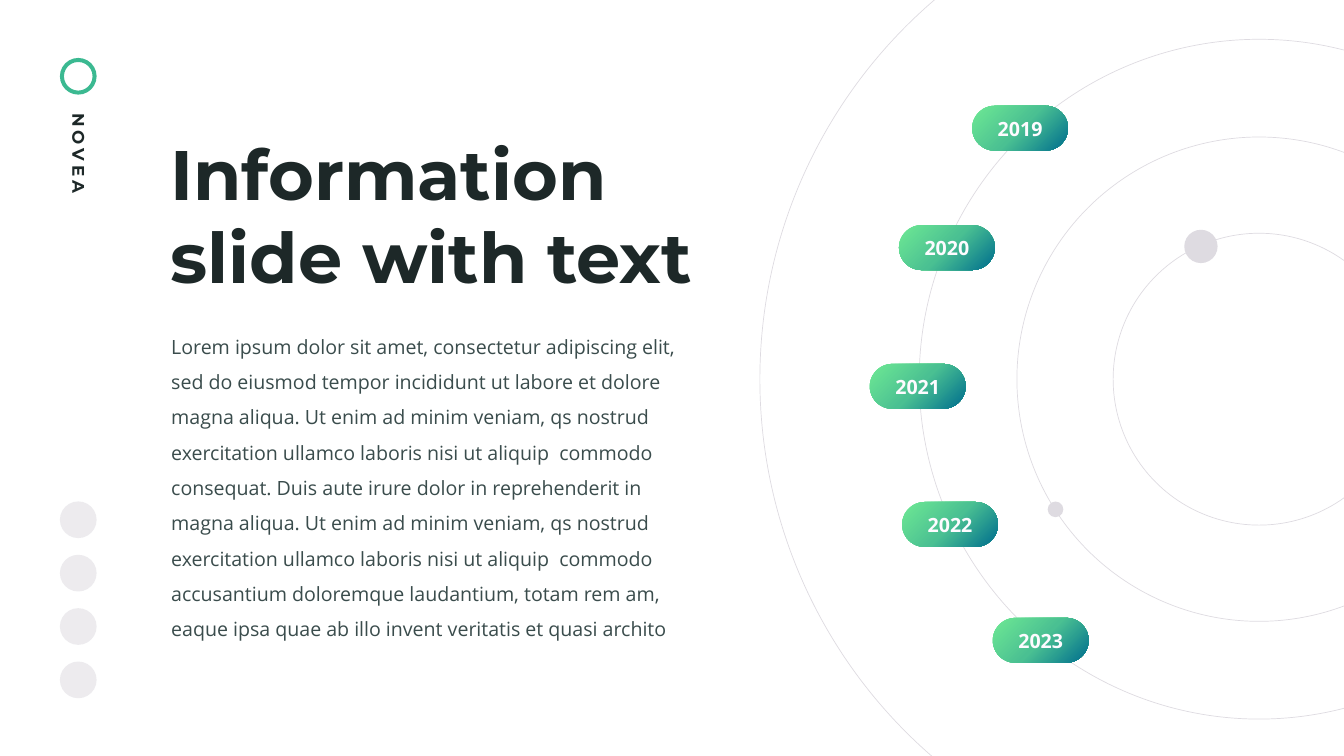
"""Build an information slide with a text block and a timeline on orbits."""
from copy import deepcopy

from pptx import Presentation
from pptx.dml.color import RGBColor
from pptx.enum.shapes import MSO_SHAPE as Preset
from pptx.enum.text import MSO_ANCHOR as Anchor, PP_ALIGN as Align
from pptx.oxml.ns import qn
from pptx.oxml.xmlchemy import OxmlElement
from pptx.util import Cm, Pt

INK = RGBColor(0x1D, 0x28, 0x28)
BODY_GREY = RGBColor(0x3A, 0x4C, 0x4C)
ORBIT_GREY = RGBColor(0xDE, 0xDB, 0xE1)
EMBLEM_GREEN = RGBColor(0x3B, 0xB9, 0x91)
PILL_TEXT = RGBColor(0xFD, 0xFB, 0xFF)
PILL_STOPS = [
    (0, RGBColor(0x6F, 0xE9, 0x94)),
    (0.51, RGBColor(0x4A, 0xC0, 0x92)),
    (0.99, RGBColor(0x00, 0x6F, 0x8E)),
]

HEADING_FONT, BODY_FONT = "Montserrat", "Open Sans"

ORBIT_CENTRE = (63.46, 19.11)
ORBIT_DIAMETERS = [34.26, 24.41, 14.71, 50.32]
PLANETS = [(60.53, 12.42, 1.68), (53.2, 25.67, 0.79)]
MILESTONES = [
    ("2019", 49, 5.33),
    ("2020", 45.31, 11.35),
    ("2021", 43.84, 18.34),
    ("2022", 45.47, 25.3),
    ("2023", 50.04, 31.14),
]
SIDEBAR_LEFT, BADGE_SIZE = 3.02, 1.85
BADGE_TOP, BADGE_STEP, BADGE_COUNT = 25.27, 2.69, 4

BODY = (
    "Lorem ipsum dolor sit amet, consectetur adipiscing elit, sed do eiusmod "
    "tempor incididunt ut labore et dolore magna aliqua. Ut enim ad minim "
    "veniam, qs nostrud exercitation ullamco laboris nisi ut aliquip  commodo "
    "consequat. Duis aute irure dolor in reprehenderit in\n"
    "magna aliqua. Ut enim ad minim veniam, qs nostrud exercitation ullamco "
    "laboris nisi ut aliquip  commodo accusantium doloremque laudantium, totam "
    "rem am, eaque ipsa quae ab illo invent veritatis et quasi archito"
)


def write(frame, text, *, size, font, color, bold=False, align=Align.LEFT,
          spacing=None, tracking=None, inset=None):
    frame.text = text
    frame.word_wrap = True
    if inset is not None:
        frame.margin_left = frame.margin_right = Cm(inset)
        frame.margin_top = frame.margin_bottom = Cm(inset)
    for paragraph in frame.paragraphs:
        paragraph.alignment = align
        paragraph.line_spacing = spacing
        for run in paragraph.runs:
            run.font.size = Pt(size)
            run.font.name = font
            run.font.bold = bold
            run.font.color.rgb = color
            if tracking:
                run.font._element.set("spc", str(tracking * 100))


def add_text(slide, left, top, width, height, text, **style):
    box = slide.shapes.add_textbox(Cm(left), Cm(top), Cm(width), Cm(height))
    write(box.text_frame, text, **style)
    return box


def add_preset(slide, preset, left, top, width, height, fill=None):
    shape = slide.shapes.add_shape(preset, Cm(left), Cm(top), Cm(width), Cm(height))
    shape.shadow.inherit = False
    shape.line.fill.background()
    if fill is None:
        shape.fill.background()
    else:
        shape.fill.solid()
        shape.fill.fore_color.rgb = fill
    return shape


def add_disc(slide, centre_x, centre_y, diameter, fill=None):
    radius = diameter / 2
    return add_preset(slide, Preset.OVAL, centre_x - radius, centre_y - radius,
                      diameter, diameter, fill)


def add_orbit(slide, diameter):
    orbit = add_disc(slide, *ORBIT_CENTRE, diameter)
    orbit.line.color.rgb = ORBIT_GREY
    orbit.line.width = Pt(1)


def add_badge(slide, top):
    badge = add_preset(slide, Preset.OVAL, SIDEBAR_LEFT, top,
                       BADGE_SIZE, BADGE_SIZE, ORBIT_GREY)
    alpha = OxmlElement("a:alpha")
    alpha.set("val", "54000")
    badge._element.spPr.find(f".//{qn('a:srgbClr')}").append(alpha)


def add_milestone(slide, year, left, top):
    pill = add_preset(slide, Preset.ROUNDED_RECTANGLE, left, top, 4.83, 2.26)
    pill.adjustments[0] = 0.5
    pill.fill.gradient()
    pill.fill.gradient_angle = 315
    stop_list = pill._element.spPr.find(f".//{qn('a:gsLst')}")
    stop_list.append(deepcopy(stop_list[-1]))
    for stop, (position, color) in zip(pill.fill.gradient_stops, PILL_STOPS):
        stop.position = position
        stop.color.rgb = color
    pill.text_frame.vertical_anchor = Anchor.MIDDLE
    write(pill.text_frame, year, size=28, font=BODY_FONT, color=PILL_TEXT,
          bold=True, align=Align.CENTER)


def add_sidebar(slide):
    name = add_text(slide, 1.32, 7.59, 5.21, 1.17, "NOVEA", size=24,
                    font=HEADING_FONT, color=INK, bold=True, spacing=0.9,
                    tracking=6, inset=0.13)
    name.rotation = 90
    emblem = add_preset(slide, Preset.DONUT, SIDEBAR_LEFT, 2.92,
                        BADGE_SIZE, BADGE_SIZE, EMBLEM_GREEN)
    emblem.adjustments[0] = 0.11
    for index in range(BADGE_COUNT):
        add_badge(slide, BADGE_TOP + index * BADGE_STEP)


def add_timeline(slide):
    inner_planet, outer_planet = PLANETS
    add_disc(slide, *inner_planet, ORBIT_GREY)
    for diameter in ORBIT_DIAMETERS:
        add_orbit(slide, diameter)
    add_disc(slide, *outer_planet, ORBIT_GREY)
    for year, left, top in MILESTONES:
        add_milestone(slide, year, left, top)


def main():
    deck = Presentation()
    deck.slide_width, deck.slide_height = Cm(67.74), Cm(38.1)
    slide = deck.slides.add_slide(deck.slide_layouts[6])
    add_sidebar(slide)
    add_text(slide, 8.46, 6.53, 31.6, 8.66, "Information slide with text",
             size=100, font=HEADING_FONT, color=INK, bold=True,
             spacing=Pt(118), inset=0.13)
    add_text(slide, 8.38, 16.15, 26.06, 16.23, BODY, size=28, font=BODY_FONT,
             color=BODY_GREY, spacing=1.5)
    add_timeline(slide)
    deck.save("out.pptx")


if __name__ == "__main__":
    main()
